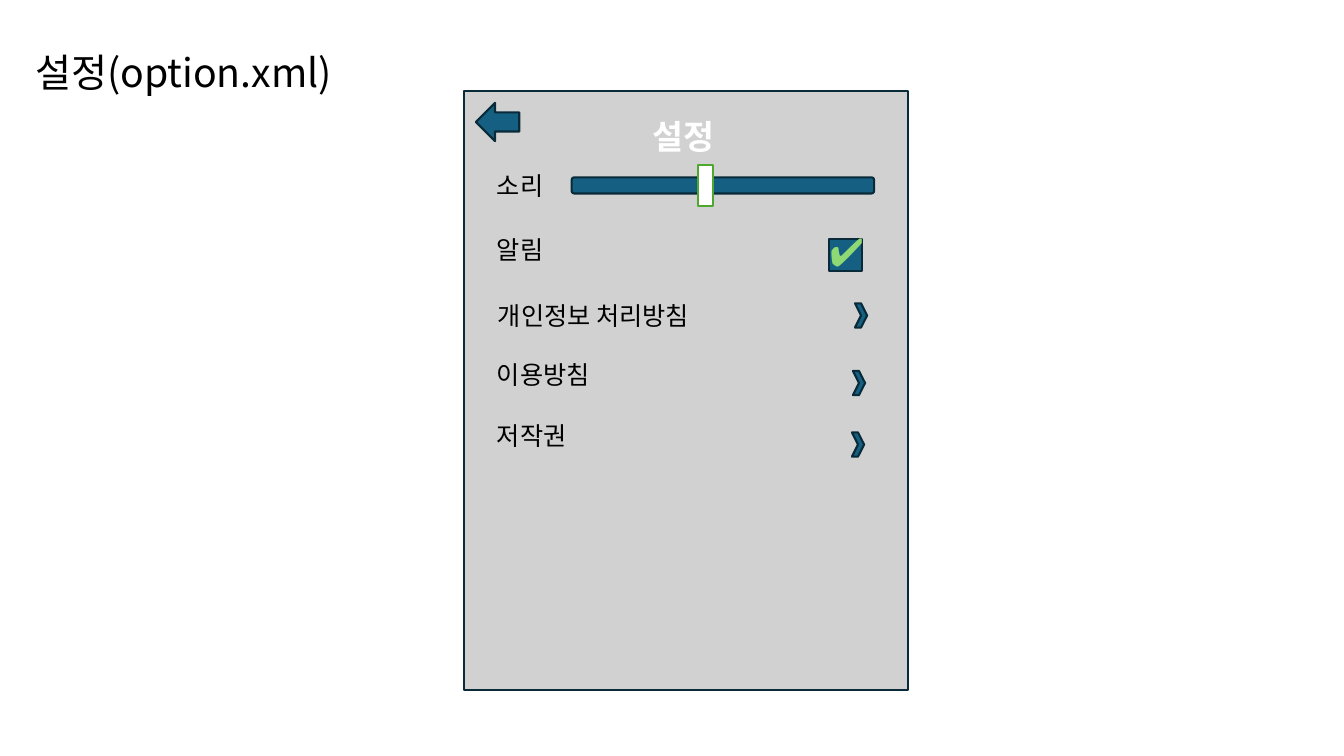
from lxml.etree import SubElement
from pptx import Presentation
from pptx.dml.color import RGBColor
from pptx.enum.shapes import MSO_SHAPE
from pptx.enum.text import MSO_ANCHOR
from pptx.oxml.ns import qn
from pptx.util import Pt

PX = 9144
COLORS = {
    "black": "000000",
    "white": "FFFFFF",
    "panel": "D1D1D1",
    "blue": "156082",
    "navy": "092A39",
    "green": "4EA72E",
    "check": "8ED973",
}
KOREAN = "Noto Sans CJK KR"


class SettingsSlide:
    """Draws the settings screen on one slide, with lengths in hundredths of an inch."""

    def __init__(self, deck):
        self.slide = deck.slides.add_slide(deck.slide_layouts[6])

    def shape(self, kind, *place, fill="blue", line="navy"):
        shape = self.slide.shapes.add_shape(kind, *(length * PX for length in place))
        shape.shadow.inherit = False
        shape.fill.solid()
        shape.fill.fore_color.rgb = RGBColor.from_string(COLORS[fill])
        shape.line.color.rgb = RGBColor.from_string(COLORS[line])
        shape.line.width = Pt(1.5)

    def text(self, words, *place, size=18, color="black", font=KOREAN, bold=False,
             wrap=False, anchor=MSO_ANCHOR.TOP, spacing=1.0):
        box = self.slide.shapes.add_textbox(*(length * PX for length in place))
        frame = box.text_frame
        frame.word_wrap = wrap
        frame.vertical_anchor = anchor
        para = frame.paragraphs[0]
        para.text = words
        para.line_spacing = spacing
        para.font.size = Pt(size)
        para.font.bold = bold
        para.font.color.rgb = RGBColor.from_string(COLORS[color])
        para.font.name = font
        defaults = para._p.pPr.find(qn("a:defRPr"))
        SubElement(defaults, qn("a:ea"), typeface=font)


def main():
    deck = Presentation()
    deck.slide_width, deck.slide_height = 1333 * PX, 750 * PX
    page = SettingsSlide(deck)
    heading = {"size": 28, "wrap": True, "anchor": MSO_ANCHOR.MIDDLE, "spacing": 0.9}

    page.text("설정(option.xml)", 25, 46, 409, 56, **heading)
    page.shape(MSO_SHAPE.RECTANGLE, 460, 90, 441, 595, fill="panel")
    page.shape(MSO_SHAPE.LEFT_ARROW, 472, 102, 43, 38)
    page.text("설정", 637, 110, 88, 50, size=24, color="white", bold=True)

    for label, left, top, width in (
        ("소리", 483, 164, 71),
        ("알림", 483, 228, 71),
        ("개인정보 처리방침", 484, 293, 231),
        ("이용방침", 483, 352, 121),
        ("저작권", 483, 412, 96),
    ):
        page.text(label, left, top, width, 40)

    page.shape(MSO_SHAPE.ROUNDED_RECTANGLE, 567, 176, 300, 16)
    page.shape(MSO_SHAPE.RECTANGLE, 692, 164, 15, 40, fill="white", line="green")
    page.shape(MSO_SHAPE.RECTANGLE, 822, 237, 33, 32)
    for left, top in ((848, 301), (846, 368), (845, 429)):
        page.shape(MSO_SHAPE.CHEVRON, left, top, 12, 24)
    page.text("✔", 813, 230, 50, 44, color="check", font="Roboto", **heading)

    deck.save("out.pptx")


if __name__ == "__main__":
    main()
